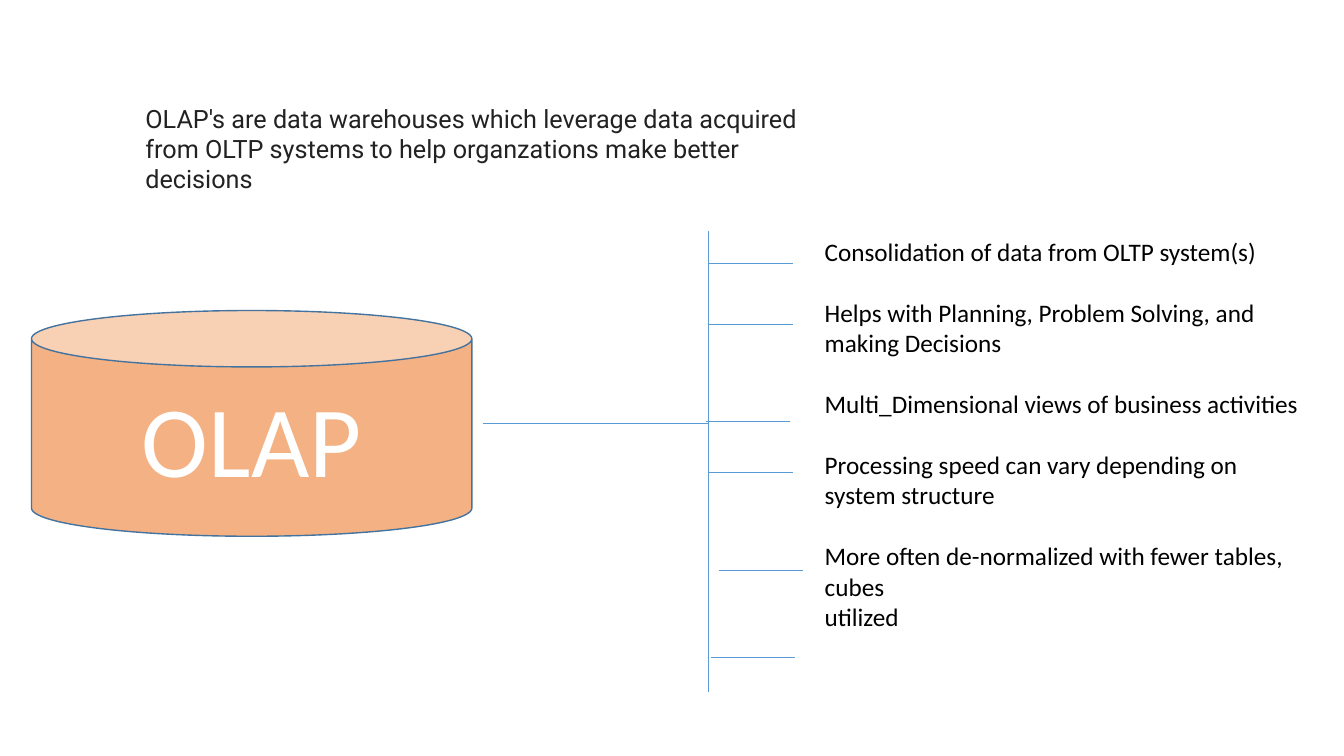
"""Build the OLAP overview slide."""
import pptx
import pptx.dml.color
import pptx.enum.shapes
import pptx.enum.text
import pptx.oxml
import pptx.util

Pt = pptx.util.Pt
RGBColor = pptx.dml.color.RGBColor
BLUE = RGBColor(0x5B, 0x9B, 0xD5)
DARK_BLUE = RGBColor(0x43, 0x73, 0x9E)
ORANGE = RGBColor(0xF4, 0xB1, 0x83)
WHITE = RGBColor(0xFF, 0xFF, 0xFF)
GREY = RGBColor(0x22, 0x22, 0x22)
BLACK = RGBColor(0, 0, 0)

INTRO = [
    "OLAP's are data warehouses which leverage data acquired",
    "from OLTP systems to help organzations make better",
    "decisions",
]
FEATURES = [
    "Consolidation of data from OLTP system(s)",
    "Helps with Planning, Problem Solving, and making Decisions",
    "Multi_Dimensional views of business activities",
    "Processing speed can vary depending on system structure",
    "More often de-normalized with fewer tables, cubes",
    "utilized",
]
FEATURE_GAP = 22
TRUNK_X = 506.2
BRANCH_LENGTH = 60.5
BRANCHES = [(TRUNK_X, 188), (TRUNK_X, 232), (504, 301), (TRUNK_X, 337.7),
            (513.4, 407.5), (507.6, 469.4)]


def add_line(s, x1, y1, x2, y2):
    line = s.shapes.add_connector(
        pptx.enum.shapes.MSO_CONNECTOR.STRAIGHT, Pt(x1), Pt(y1), Pt(x2), Pt(y2))
    line.line.color.rgb = BLUE
    line.line.width = Pt(0.5)
    line._element.spPr.append(pptx.oxml.parse_xml(
        '<a:effectLst xmlns:a="http://schemas.openxmlformats.org/drawingml/2006/main"/>'))


def write_lines(tf, lines, font, size, color):
    tf.text = "\n".join(lines)
    for p in tf.paragraphs:
        for r in p.runs:
            r.font.name = font
            r.font.size = Pt(size)
            r.font.color.rgb = color


prs = pptx.Presentation()
prs.slide_width, prs.slide_height = Pt(960), Pt(540)
s = prs.slides.add_slide(prs.slide_layouts[6])

intro = s.shapes.add_textbox(Pt(96.8), Pt(70), Pt(491.8), Pt(72.7))
intro.text_frame.word_wrap = False
write_lines(intro.text_frame, INTRO, "Roboto", 18, GREY)

add_line(s, 344.9, 302.4, TRUNK_X, 302.4)
add_line(s, TRUNK_X, 165, TRUNK_X, 494.6)
for x, y in BRANCHES:
    add_line(s, x, y, x + BRANCH_LENGTH, y)

can = s.shapes.add_shape(pptx.enum.shapes.MSO_SHAPE.CAN,
                         Pt(22.5), Pt(221.8), Pt(314.6), Pt(161.3))
can.shadow.inherit = False
can.fill.solid()
can.fill.fore_color.rgb = ORANGE
can.line.color.rgb = DARK_BLUE
can.line.width = Pt(1)
write_lines(can.text_frame, ["OLAP"], "Calibri", 72, WHITE)
can.text_frame.vertical_anchor = pptx.enum.text.MSO_ANCHOR.MIDDLE
can.text_frame.paragraphs[0].alignment = pptx.enum.text.PP_ALIGN.CENTER

features = s.shapes.add_textbox(Pt(582), Pt(165), Pt(357.8), Pt(290.8))
features.text_frame.word_wrap = True
write_lines(features.text_frame, FEATURES, "Calibri", 18, BLACK)
for p in features.text_frame.paragraphs[1:-1]:
    p.space_before = Pt(FEATURE_GAP)

prs.save("out.pptx")
